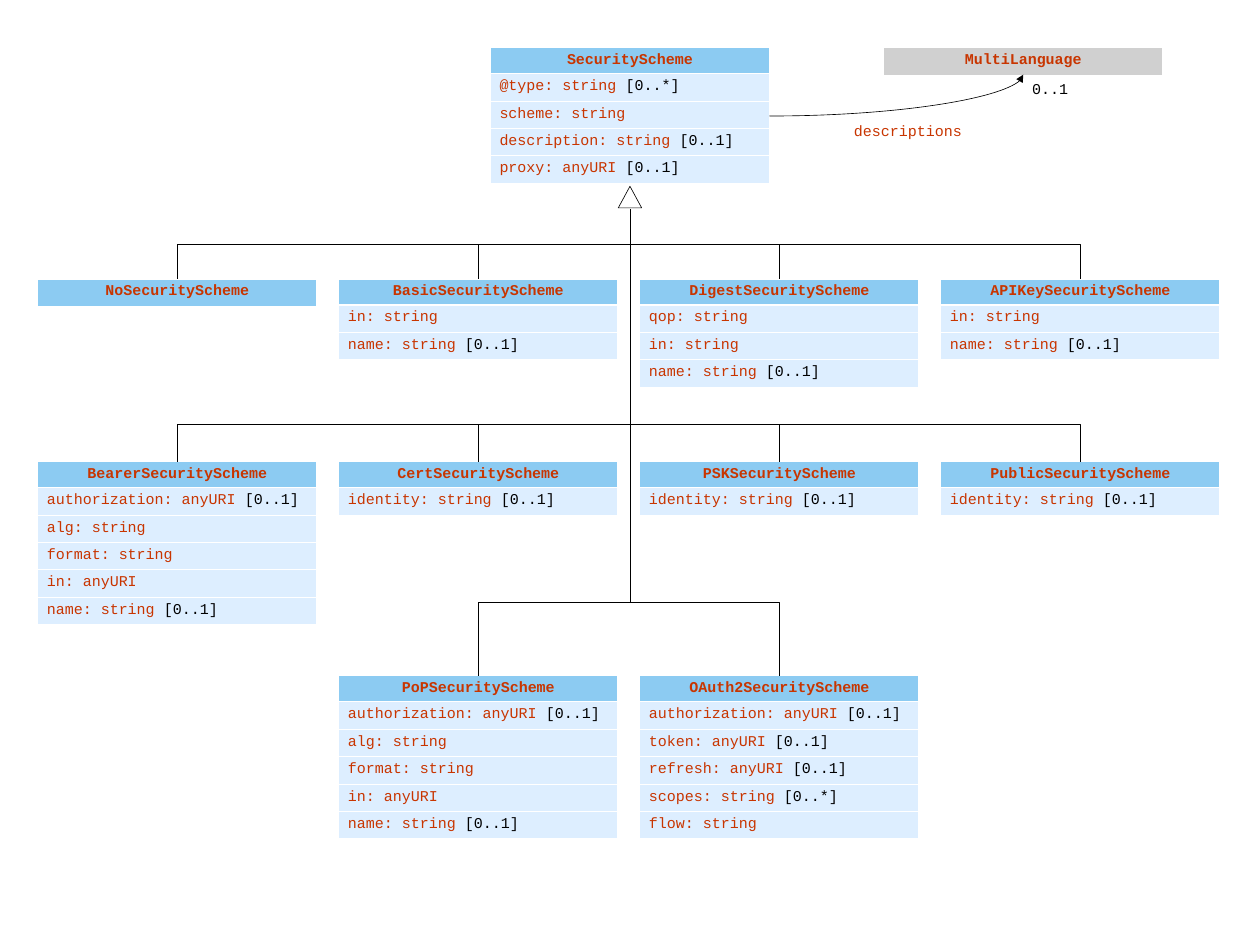
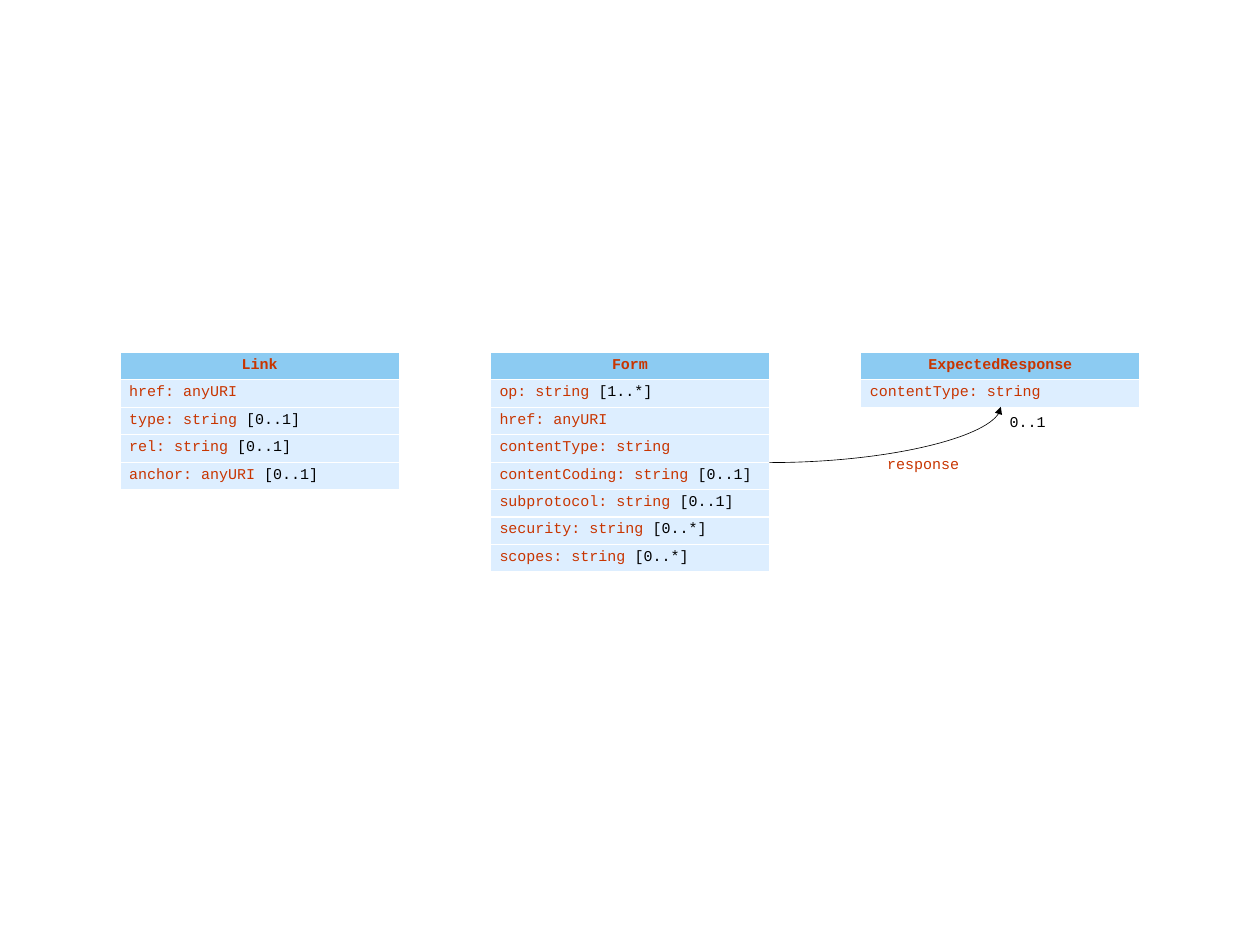
import dataclasses
import typing

import lxml.etree
import pptx
import pptx.dml.color
import pptx.enum.shapes
import pptx.enum.text
import pptx.oxml.ns
import pptx.util

# Scale: 200 px to the inch
PX = 4572
WIDE, ROW, HEAD = 620, 61, 46

# Colours and text
RED, BLACK, WHITE = "C83500", "000000", "FFFFFF"
BLUE, PALE, GREY = "8CCBF2", "DDEEFF", "D0D0D0"
TEXT = {"name": "Courier New", "size": pptx.util.Pt(12), "bold": False}
TITLE = TEXT | {"bold": True}

LINK = pptx.enum.shapes.MSO_CONNECTOR
AUTO = pptx.enum.text.MSO_AUTO_SIZE


@dataclasses.dataclass
class Class:
    x: int
    y: int
    name: str
    rows: tuple[str, ...] = ()
    fill: str = BLUE


@dataclasses.dataclass
class Label:
    x: int
    y: int
    wide: int
    text: str
    ink: str


@dataclasses.dataclass
class Curve:
    start: tuple[int, int]
    end: tuple[int, int]
    labels: tuple[Label, ...]


@dataclasses.dataclass
class Fork:
    top: int
    bus: int
    cols: tuple[int, ...]


# Scheme slide: four columns and three rows under one root
COLS = [84 + 669 * i for i in range(4)]
ROWS = [620, 1026, 1502]
APEX = (1400, 464)
AUTH = "authorization: anyURI [0..1]"
NAME = "name: string [0..1]"
IDENT = ("identity: string [0..1]",)
KEY = ("in: string", NAME)
TOKEN = (AUTH, "alg: string", "format: string", "in: anyURI", NAME)

SCHEMES = [
    Class(1090, 106, "SecurityScheme",
          ("@type: string [0..*]", "scheme: string",
           "description: string [0..1]", "proxy: anyURI [0..1]")),
    Class(COLS[0], ROWS[0], "NoSecurityScheme"),
    Class(COLS[1], ROWS[0], "BasicSecurityScheme", KEY),
    Class(COLS[2], ROWS[0], "DigestSecurityScheme", ("qop: string",) + KEY),
    Class(COLS[3], ROWS[0], "APIKeySecurityScheme", KEY),
    Class(COLS[0], ROWS[1], "BearerSecurityScheme", TOKEN),
    Class(COLS[1], ROWS[1], "CertSecurityScheme", IDENT),
    Class(COLS[2], ROWS[1], "PSKSecurityScheme", IDENT),
    Class(COLS[3], ROWS[1], "PublicSecurityScheme", IDENT),
    Class(COLS[1], ROWS[2], "PoPSecurityScheme", TOKEN),
    Class(COLS[2], ROWS[2], "OAuth2SecurityScheme",
          (AUTH, "token: anyURI [0..1]", "refresh: anyURI [0..1]",
           "scopes: string [0..*]", "flow: string")),
    Class(1964, 106, "MultiLanguage", fill=GREY),
]
DESCR = Curve((1710, 258), (2274, 166),
              (Label(1878, 260, 284, "descriptions", RED),
               Label(2274, 168, 122, "0..1", BLACK)))
FORKS = [
    Fork(ROWS[0], 542, (0, 1, 2, 3)),
    Fork(ROWS[1], 942, (0, 1, 2, 3)),
    Fork(ROWS[2], 1338, (1, 2)),
]

# Form slide: three classes side by side
SIDE = [267 + 823 * i for i in range(3)]
FORMS = [
    Class(SIDE[1], 784, "Form",
          ("op: string [1..*]", "href: anyURI", "contentType: string",
           "contentCoding: string [0..1]", "subprotocol: string [0..1]",
           "security: string [0..*]", "scopes: string [0..*]")),
    Class(SIDE[2], 784, "ExpectedResponse", ("contentType: string",)),
    Class(SIDE[0], 784, "Link",
          ("href: anyURI", "type: string [0..1]", "rel: string [0..1]",
           "anchor: anyURI [0..1]")),
]
REPLY = Curve((1710, 1028), (2224, 904),
              (Label(1952, 1000, 204, "response", RED),
               Label(2224, 906, 122, "0..1", BLACK)))


def px(*vals: float) -> list[int]:
    return [round(val * PX) for val in vals]


def rgb(code: str) -> pptx.dml.color.RGBColor:
    return pptx.dml.color.RGBColor.from_string(code)


def paint(item: typing.Any, code: str) -> None:
    item.fill.solid()
    item.fill.fore_color.rgb = rgb(code)


def write(para: typing.Any, text: str, ink: str, form: dict = TEXT) -> None:
    run = para.add_run()
    run.text = text
    for key, val in form.items():
        setattr(run.font, key, val)
    run.font.color.rgb = rgb(ink)


def stroke(item: typing.Any) -> None:
    item.line.color.rgb = rgb(BLACK)
    item.line.width = pptx.util.Pt(0.5)


def join(shapes: typing.Any, kind: typing.Any,
         start: tuple, end: tuple) -> typing.Any:
    line = shapes.add_connector(kind, *px(*start, *end))
    stroke(line)
    lxml.etree.SubElement(line._element.spPr,
                          pptx.oxml.ns.qn("a:effectLst"))
    return line


def geom(line: typing.Any) -> typing.Any:
    return line._element.spPr.find(pptx.oxml.ns.qn("a:prstGeom"))


def draw_class(slide: typing.Any, box: Class) -> None:
    count = len(box.rows) + 1
    frame = slide.shapes.add_table(
        count, 1, *px(box.x, box.y, WIDE, ROW * count))
    table = frame.table
    if box.rows:
        table.rows[0].height = HEAD * PX
        frame.height = ROW * count * PX
    # Title row
    cell = table.cell(0, 0)
    paint(cell, box.fill)
    para = cell.text_frame.paragraphs[0]
    para.alignment = pptx.enum.text.PP_ALIGN.CENTER
    write(para, box.name, RED, TITLE)
    # Member rows, with the count of values in black
    for i, text in enumerate(box.rows, 1):
        cell = table.cell(i, 0)
        paint(cell, PALE)
        para = cell.text_frame.paragraphs[0]
        name, mark, rest = text.partition("[")
        write(para, name, RED)
        if mark:
            write(para, mark + rest, BLACK)


def draw_curve(slide: typing.Any, curve: Curve) -> None:
    shapes = slide.shapes.add_group_shape().shapes
    line = join(shapes, LINK.CURVE, curve.start, curve.end)
    geom(line).set("prst", "curvedConnector2")
    lxml.etree.SubElement(line.line._get_or_add_ln(),
                          pptx.oxml.ns.qn("a:tailEnd"), type="triangle")
    for label in curve.labels:
        box = shapes.add_textbox(*px(label.x, label.y, label.wide, 60))
        frame = box.text_frame
        frame.word_wrap = False
        frame.auto_size = AUTO.SHAPE_TO_FIT_TEXT
        write(frame.paragraphs[0], label.text, label.ink)


def draw_fork(slide: typing.Any, fork: Fork) -> None:
    for col in fork.cols:
        x = COLS[col] + WIDE / 2
        left = x < APEX[0]
        # The elbow is laid flat, then turned about its middle
        mid_x, mid_y = (x + APEX[0]) / 2, (fork.top + APEX[1]) / 2
        rise, run = (fork.top - APEX[1]) / 2, abs(x - APEX[0]) / 2
        side = rise if left else -rise
        line = join(slide.shapes, LINK.ELBOW,
                    (mid_x + side, mid_y + run), (mid_x - side, mid_y - run))
        turn = 90 if left else 270
        line._element.spPr.xfrm.set("rot", str(turn * 60000))
        bend = round((fork.top - fork.bus) / (fork.top - APEX[1]) * 100000)
        guides = geom(line).find(pptx.oxml.ns.qn("a:avLst"))
        lxml.etree.SubElement(guides, pptx.oxml.ns.qn("a:gd"),
                              name="adj1", fmla=f"val {bend}")


def draw_tip(slide: typing.Any) -> None:
    kind = pptx.enum.shapes.MSO_SHAPE.ISOSCELES_TRIANGLE
    tip = slide.shapes.add_shape(kind, *px(APEX[0] - 26, 414, 52, 48))
    tip.shadow.inherit = False
    paint(tip, WHITE)
    stroke(tip)


def main() -> None:
    deck = pptx.Presentation()
    deck.slide_width, deck.slide_height = px(2800, 2100)
    for boxes, curve, forks in ((SCHEMES, DESCR, FORKS), (FORMS, REPLY, [])):
        slide = deck.slides.add_slide(deck.slide_layouts[6])
        for box in boxes:
            draw_class(slide, box)
        draw_curve(slide, curve)
        for fork in forks:
            draw_fork(slide, fork)
        if forks:
            draw_tip(slide)
    deck.save("out.pptx")


if __name__ == "__main__":
    main()
